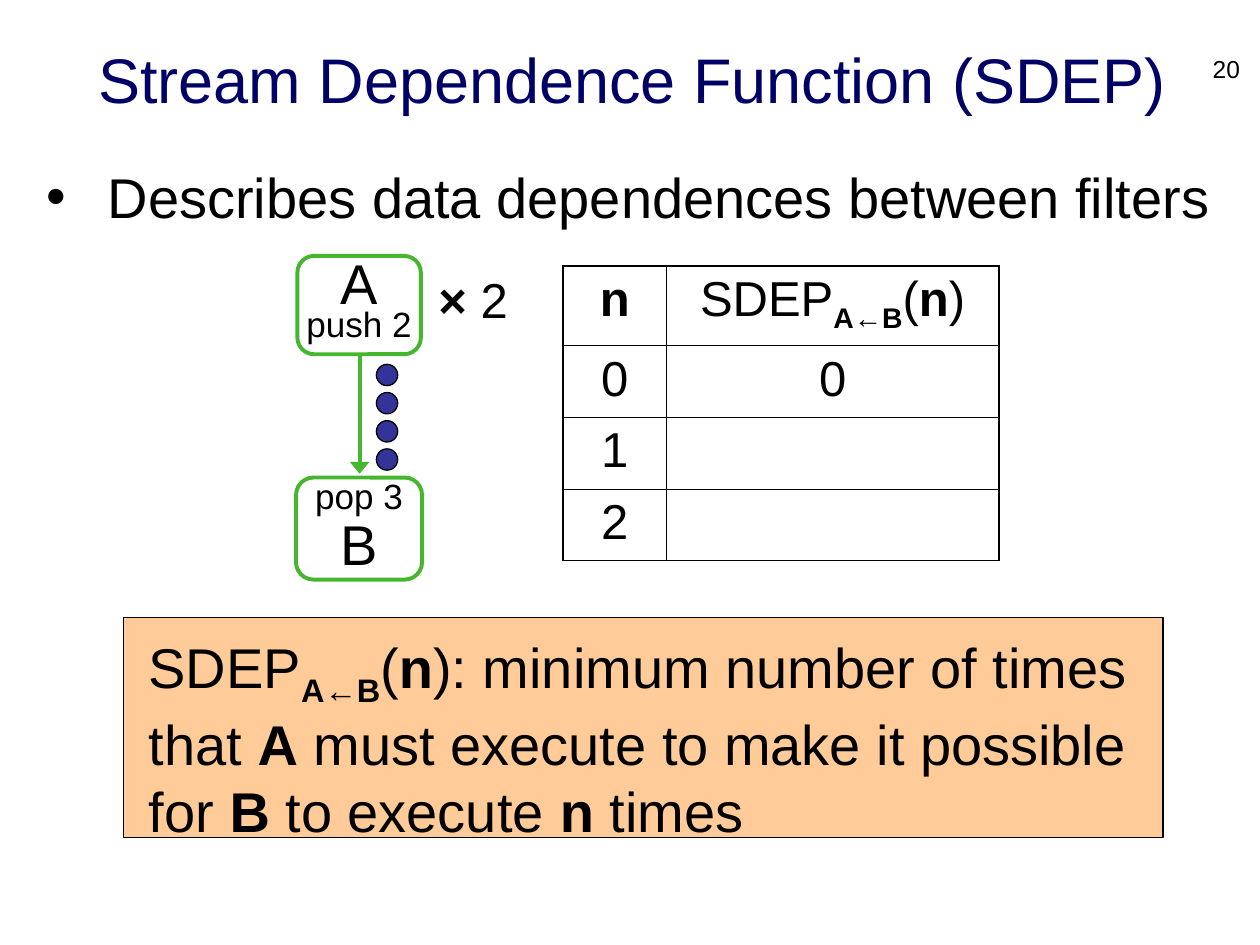
from dataclasses import dataclass

import pptx
import pptx.dml.color
import pptx.enum.shapes
import pptx.enum.text
import pptx.oxml
import pptx.oxml.ns
import pptx.util
from lxml import etree

Pt = pptx.util.Pt
SHAPES = pptx.enum.shapes.MSO_SHAPE
ALIGN = pptx.enum.text.PP_ALIGN
ANCHOR = pptx.enum.text.MSO_ANCHOR
FONT = "Arial"
COLORS = {
    "title": "000066",
    "text": "000000",
    "filter": "45B62E",
    "item": "333399",
    "note": "FFCC99",
}


@dataclass(frozen=True)
class Span:
    text: str
    bold: bool = False
    size: float | None = None
    subscript: bool = False


@dataclass(frozen=True)
class Area:
    left: float
    top: float
    width: float
    height: float

    def lengths(self) -> list[int]:
        return [Pt(value) for value in (self.left, self.top, self.width, self.height)]


@dataclass(frozen=True)
class Filter:
    area: Area
    paragraphs: list[list[Span]]
    spacing: float


def rgb(name: str) -> pptx.dml.color.RGBColor:
    return pptx.dml.color.RGBColor.from_string(COLORS[name])


def add_element(parent, tag: str, **attributes: str):
    element = etree.SubElement(parent, pptx.oxml.ns.qn(tag))
    for key, value in attributes.items():
        element.set(key, value)
    return element


def write_text(frame, paragraphs: list[list[Span]], *, size: float = 28,
               color: str = "text", align=ALIGN.LEFT, anchor=ANCHOR.TOP,
               wrap: bool = True, spacing: float | None = None,
               side_margin: float = 7.2, bullet_indent: float = 0) -> None:
    frame.word_wrap = wrap
    frame.vertical_anchor = anchor
    frame.margin_left = frame.margin_right = Pt(side_margin)
    frame.margin_top = frame.margin_bottom = Pt(3.6)
    for index, spans in enumerate(paragraphs):
        para = frame.paragraphs[0] if index == 0 else frame.add_paragraph()
        para.alignment = align
        if spacing:
            para.line_spacing = spacing
        if bullet_indent:
            properties = para._p.get_or_add_pPr()
            properties.set("marL", str(Pt(bullet_indent)))
            properties.set("indent", str(-Pt(bullet_indent)))
            add_element(properties, "a:buFont", typeface=FONT)
            add_element(properties, "a:buChar", char="•")
        for span in spans:
            if span.text == "\n":
                para.add_line_break()
                continue
            run = para.add_run()
            run.text = span.text
            run.font.name = FONT
            run.font.size = Pt(span.size or size)
            run.font.bold = span.bold
            run.font.color.rgb = rgb(color)
            if span.subscript:
                run.font._element.set("baseline", "-25000")


def add_text(shapes, area: Area, spans: list[Span], **text_format) -> None:
    box = shapes.add_textbox(*area.lengths())
    write_text(box.text_frame, [spans], **text_format)


def add_shape(shapes, kind, area: Area, *, line: str, weight: float,
              fill: str | None = None):
    shape = shapes.add_shape(kind, *area.lengths())
    shape.shadow.inherit = False
    shape.line.color.rgb = rgb(line)
    shape.line.width = Pt(weight)
    if fill:
        shape.fill.solid()
        shape.fill.fore_color.rgb = rgb(fill)
    else:
        shape.fill.background()
    return shape


def add_filter(shapes, node: Filter) -> None:
    shape = add_shape(shapes, SHAPES.ROUNDED_RECTANGLE, node.area,
                      line="filter", weight=2.25)
    shape.adjustments[0] = 0.17
    write_text(shape.text_frame, node.paragraphs, align=ALIGN.CENTER,
               anchor=ANCHOR.MIDDLE, wrap=False, spacing=node.spacing,
               side_margin=6.5)


def add_channel(shapes, start: tuple[float, float], end: tuple[float, float]) -> None:
    points = [Pt(value) for value in (*start, *end)]
    channel = shapes.add_connector(pptx.enum.shapes.MSO_CONNECTOR.STRAIGHT, *points)
    channel.line.color.rgb = rgb("filter")
    channel.line.width = Pt(2.25)
    add_element(channel.line._get_or_add_ln(), "a:tailEnd", type="triangle", w="lg")
    add_element(channel._element.spPr, "a:effectLst")


def set_borders(cell, weights: dict[str, float]) -> None:
    properties = cell._tc.get_or_add_tcPr()
    for position, (side, weight) in enumerate(weights.items()):
        border = pptx.oxml.parse_xml(
            f'<a:{side} {pptx.oxml.ns.nsdecls("a")} w="{Pt(weight)}">'
            f'<a:solidFill><a:srgbClr val="{COLORS["text"]}"/></a:solidFill>'
            f'</a:{side}>')
        properties.insert(position, border)


def add_grid(shapes, area: Area, widths: list[float], heights: list[float],
             rows: list[list[list[Span]]]) -> None:
    table = shapes.add_table(len(heights), len(widths), *area.lengths()).table
    table.first_row = table.horz_banding = False
    for column, width in zip(table.columns, widths):
        column.width = Pt(width)
    for row, height in zip(table.rows, heights):
        row.height = Pt(height)
    last_row, last_column = len(heights) - 1, len(widths) - 1
    for i, row in enumerate(rows):
        for j, spans in enumerate(row):
            cell = table.cell(i, j)
            cell.fill.background()
            edges = {"lnL": j == 0, "lnR": j == last_column,
                     "lnT": i == 0, "lnB": i == last_row}
            set_borders(cell, {side: 1.08 if outer else 0.45
                               for side, outer in edges.items()})
            cell.margin_left = cell.margin_right = Pt(7.2)
            cell.margin_top = cell.margin_bottom = Pt(3.6)
            if spans:
                write_text(cell.text_frame, [spans], align=ALIGN.CENTER)


SDEP_OF_N = [
    Span("SDEP"), Span("A", True, subscript=True), Span("←", subscript=True),
    Span("B", True, subscript=True), Span("("), Span("n", True),
]
FILTERS = [
    Filter(Area(169.2, 272.9, 72, 58.3),
           [[Span("pop 3", size=20)], [Span("B", size=32)]], 0.9),
    Filter(Area(169.9, 146.2, 70.6, 56.2),
           [[Span("A", size=32), Span("\n"), Span("push 2", size=20)]], 0.7),
]
TABLE_ROWS = [
    [[Span("n", True)], [*SDEP_OF_N, Span(")")]],
    [[Span("0")], [Span("0")]],
    [[Span("1")], []],
    [[Span("2")], []],
]
DEFINITION = [
    *SDEP_OF_N, Span("): minimum number of times that "), Span("A", True),
    Span(" must execute to make it possible for "), Span("B", True),
    Span(" to execute "), Span("n", True), Span(" times"),
]


def main() -> None:
    deck = pptx.Presentation()
    deck.slide_width, deck.slide_height = Pt(720), Pt(540)
    page = deck.slides.add_slide(deck.slide_layouts[6])
    shapes = page.shapes

    add_text(shapes, Area(20.9, 13.3, 681, 63.4),
             [Span("Stream Dependence Function (SDEP)")], size=36, color="title",
             align=ALIGN.CENTER, anchor=ANCHOR.MIDDLE)
    add_text(shapes, Area(19.4, 89.3, 682, 104),
             [Span("Describes data dependences between filters")], size=32,
             bullet_indent=35)
    for node in FILTERS:
        add_filter(shapes, node)
    add_grid(shapes, Area(321.8, 151.9, 249, 169), [59, 190],
             [45.5, 41, 41, 41], TABLE_ROWS)

    note = shapes.add_group_shape().shapes
    add_shape(note, SHAPES.RECTANGLE, Area(70.6, 352.8, 594, 126),
              line="text", weight=0.75, fill="note")
    add_text(note, Area(77.8, 358, 590, 120), DEFINITION, size=32)

    for index in range(4):
        add_shape(shapes, SHAPES.OVAL, Area(215.1, 208.2 + 16.1 * index, 12.2, 12.2),
                  line="text", weight=0.75, fill="item")
    add_text(shapes, Area(243.4, 150.5, 60, 41), [Span("×", True), Span(" 2")],
             wrap=False)
    add_channel(shapes, (205.5, 202), (205.5, 270.7))
    add_text(shapes, Area(681, 27.4, 34.6, 21.6), [Span("20")], size=14,
             align=ALIGN.RIGHT)
    deck.save("out.pptx")


if __name__ == "__main__":
    main()
